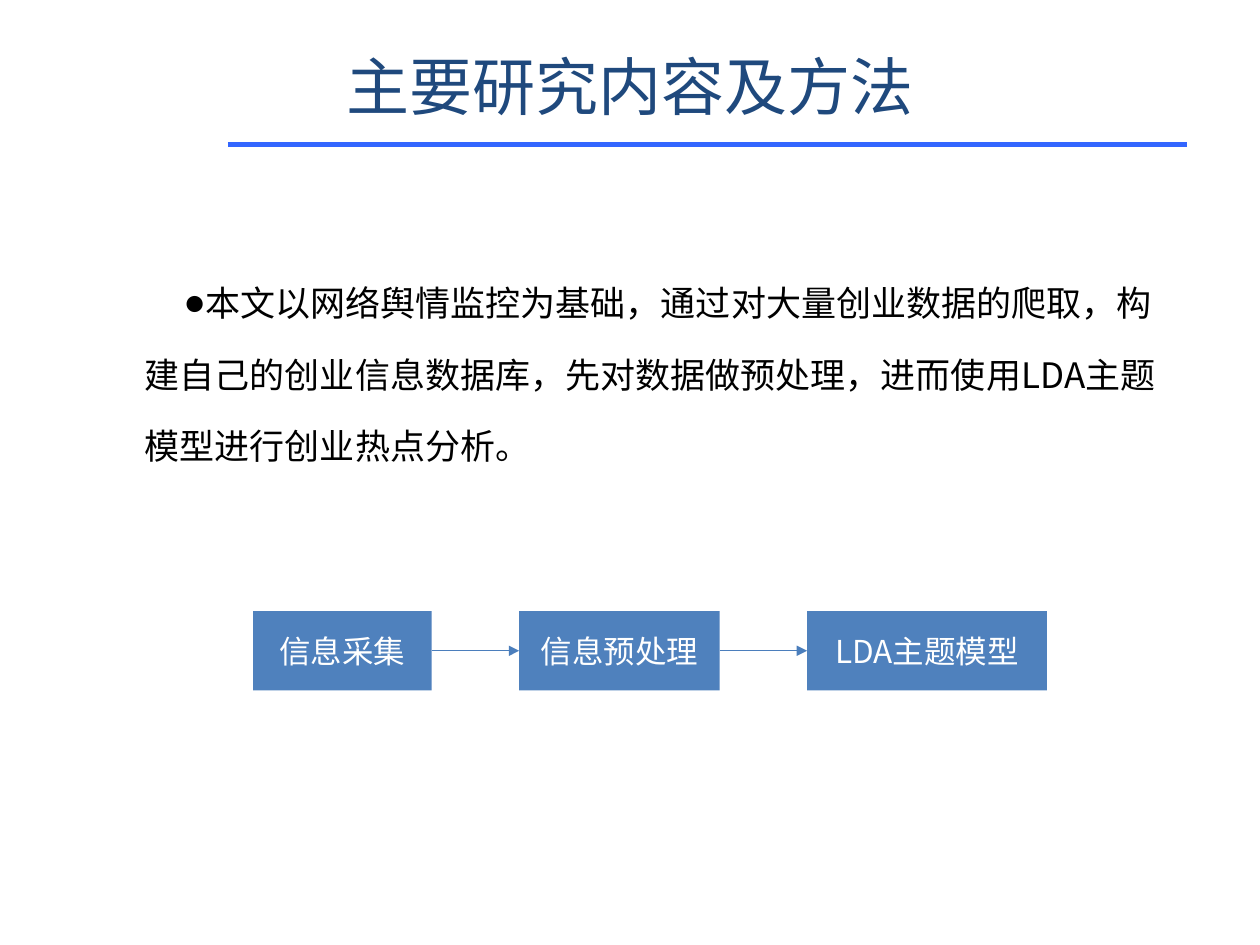
from lxml import etree
from pptx import Presentation
from pptx.dml.color import RGBColor
from pptx.enum import shapes, text
from pptx.oxml import ns
from pptx.util import Pt

# Content
TITLE = "主要研究内容及方法"
SUMMARY = (
    "本文以网络舆情监控为基础，通过对大量创业数据的爬取，"
    "构建自己的创业信息数据库，先对数据做预处理，"
    "进而使用LDA主题模型进行创业热点分析。"
)
STEPS = [("信息采集", 102), ("信息预处理", 114.5), ("LDA主题模型", 137)]


class Theme:
    title_font, body_font = "Calibri", "Noto Sans CJK SC"
    title_size, body_size, step_size = 36, 20, 18
    title, body, step_text = "1F497D", "000000", "FFFFFF"
    rule, step, arrow = "3366FF", "4F81BD", "4B7EBC"


# Flow geometry in points
FLOW_LEFT, FLOW_TOP, STEP_HEIGHT, STEP_GAP = 144.7, 349.2, 45.4, 50


def add_xml(parent, tag, **attributes):
    return etree.SubElement(parent, ns.qn(tag), attributes)


def format_text(para, size, color, font):
    for span in para.runs:
        span.font.size = Pt(size)
        span.font.color.rgb = RGBColor.from_string(color)
        span.font.name = font
        if font == Theme.body_font:
            add_xml(span.font._element, "a:ea", typeface=font)


def add_line(page, start, end, color, width, arrow=False):
    line = page.shapes.add_connector(
        shapes.MSO_CONNECTOR.STRAIGHT, *(Pt(value) for value in start + end))
    line.line.color.rgb = RGBColor.from_string(color)
    line.line.width = Pt(width)
    if arrow:
        add_xml(line.line._get_or_add_ln(), "a:tailEnd", type="triangle")
    add_xml(line._element.spPr, "a:effectLst")


def add_title(page):
    title = page.shapes.title
    title.left, title.top, title.width, title.height = Pt(36), Pt(9.4), Pt(648), Pt(79.2)
    title.text_frame.text = TITLE
    title.text_frame.vertical_anchor = text.MSO_ANCHOR.MIDDLE
    para = title.text_frame.paragraphs[0]
    para.alignment = text.PP_ALIGN.CENTER
    format_text(para, Theme.title_size, Theme.title, Theme.title_font)


def add_summary(page):
    box = page.shapes.add_textbox(Pt(75.6), Pt(140.5), Pt(596.2), Pt(131))
    frame = box.text_frame
    frame.word_wrap = True
    frame.auto_size = text.MSO_AUTO_SIZE.SHAPE_TO_FIT_TEXT
    frame.text = SUMMARY
    para = frame.paragraphs[0]
    para.line_spacing = Pt(40.9)
    format_text(para, Theme.body_size, Theme.body, Theme.body_font)
    # First-line indent with a round bullet
    properties = para._p.get_or_add_pPr()
    properties.set("marL", "0")
    properties.set("indent", str(Pt(22.5)))
    add_xml(properties, "a:buFont", typeface=Theme.title_font)
    add_xml(properties, "a:buChar", char="●")


def add_step(page, label, left, width):
    box = page.shapes.add_shape(
        shapes.MSO_SHAPE.RECTANGLE, Pt(left), Pt(FLOW_TOP), Pt(width), Pt(STEP_HEIGHT))
    box.shadow.inherit = False
    box.fill.solid()
    box.fill.fore_color.rgb = RGBColor.from_string(Theme.step)
    box.line.fill.background()
    box.text_frame.text = label
    box.text_frame.vertical_anchor = text.MSO_ANCHOR.MIDDLE
    para = box.text_frame.paragraphs[0]
    para.alignment = text.PP_ALIGN.CENTER
    format_text(para, Theme.step_size, Theme.step_text, Theme.body_font)


def add_flow(page):
    left, middle = FLOW_LEFT, FLOW_TOP + STEP_HEIGHT / 2
    for index, (label, width) in enumerate(STEPS):
        if index:
            add_line(page, (left - STEP_GAP, middle), (left, middle),
                     Theme.arrow, 0.75, arrow=True)
        add_step(page, label, left, width)
        left += width + STEP_GAP


def main():
    deck = Presentation()
    deck.slide_width, deck.slide_height = Pt(720), Pt(540)
    page = deck.slides.add_slide(deck.slide_layouts[5])
    # Title and rule
    add_title(page)
    add_line(page, (130.3, 82.4), (678.2, 82.4), Theme.rule, 3)
    # Summary and process
    add_summary(page)
    add_flow(page)
    deck.save("out.pptx")


if __name__ == "__main__":
    main()
